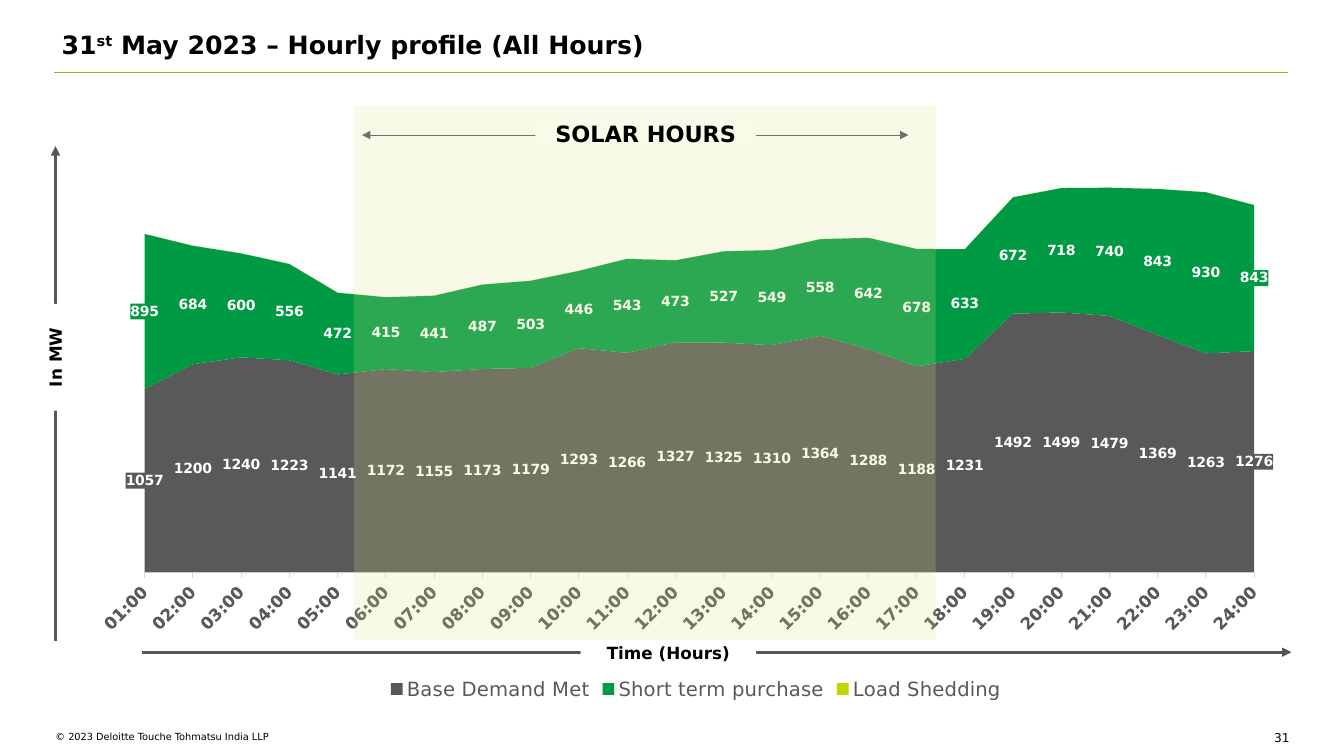
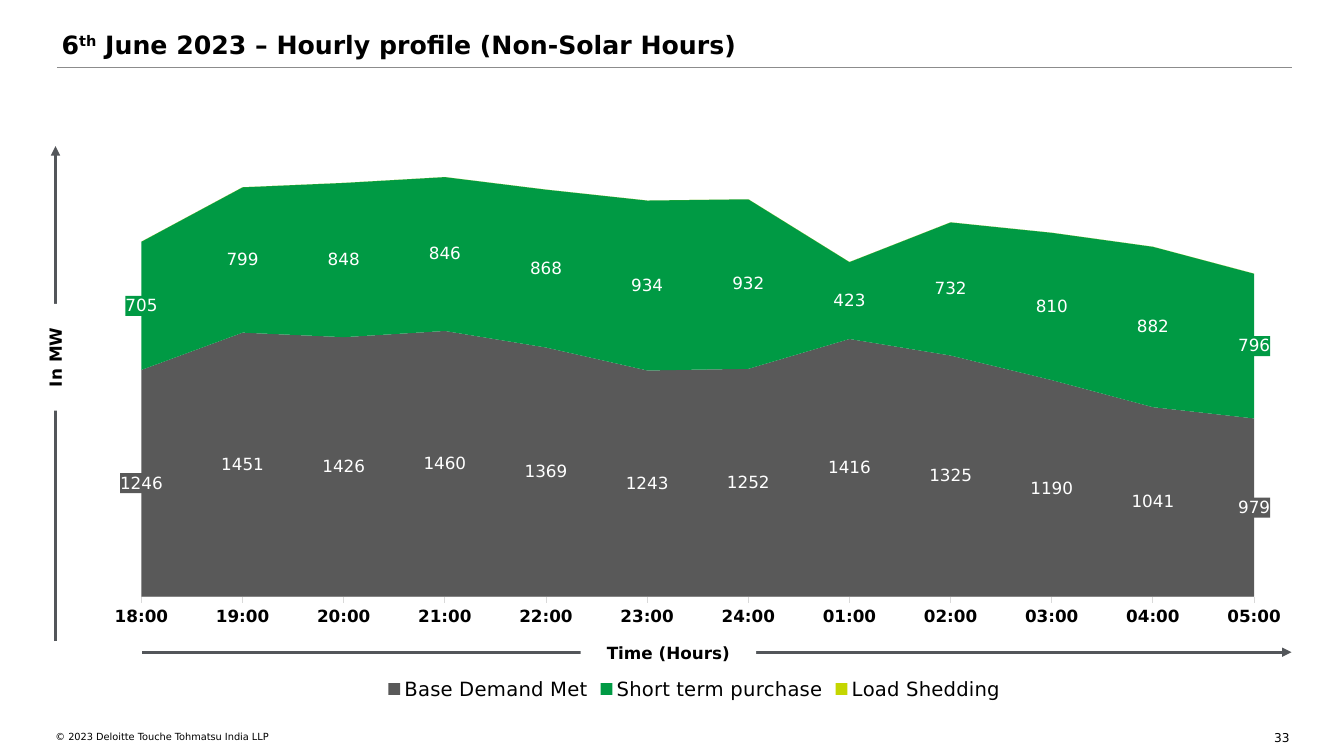
from dataclasses import dataclass

from pptx import Presentation
from pptx.chart.data import CategoryChartData
from pptx.dml.color import RGBColor
from pptx.enum.chart import XL_CHART_TYPE, XL_LEGEND_POSITION, XL_TICK_MARK
from pptx.enum.shapes import MSO_CONNECTOR, MSO_SHAPE
from pptx.enum.text import MSO_ANCHOR, PP_ALIGN
from pptx.oxml import parse_xml
from pptx.oxml.ns import nsdecls, qn
from pptx.oxml.xmlchemy import OxmlElement
from pptx.util import Inches, Pt

FONT = "DejaVu Sans"
COLORS = {
    "black": "000000",
    "white": "FFFFFF",
    "rule": "86BC25",
    "thin_rule": "8C8C8C",
    "arrow": "53565A",
    "axis": "D9D9D9",
    "base": "595959",
    "purchase": "009A44",
    "shedding": "C4D600",
    "solar": "E3E48D",
    "solar_label": "F9FAE8",
}
COPYRIGHT = "© 2023 Deloitte Touche Tohmatsu India LLP"
SERIES = {
    "Base Demand Met": "base",
    "Short term purchase": "purchase",
    "Load Shedding": "shedding",
}


@dataclass(frozen=True)
class Box:
    """A rectangle in EMU, divided into 100 columns and 100 rows."""

    left: int
    top: int
    width: int
    height: int

    def point(self, column, row):
        """Return the position of a grid point."""
        return (int(self.left + self.width * column / 100),
                int(self.top + self.height * row / 100))

    def area(self, column, row, columns, rows):
        """Return a smaller box measured on this box's grid."""
        return Box(*self.point(column, row), int(self.width * columns / 100),
                   int(self.height * rows / 100))

    @property
    def bounds(self):
        """Return left, top, width and height."""
        return self.left, self.top, self.width, self.height


def rgb(name):
    """Return a palette colour."""
    return RGBColor.from_string(COLORS[name])


def set_font(font, size, color="black", bold=False):
    """Apply the common typeface with the given size and colour."""
    font.name, font.size, font.bold = FONT, Pt(size), bold
    font.color.rgb = rgb(color)


def add_panel(slide, box, fill, opacity=100):
    """Add a borderless filled rectangle."""
    panel = slide.shapes.add_shape(MSO_SHAPE.RECTANGLE, *box.bounds)
    panel.shadow.inherit = False
    panel.line.fill.background()
    panel.fill.solid()
    panel.fill.fore_color.rgb = rgb(fill)
    if opacity < 100:
        alpha = OxmlElement("a:alpha")
        alpha.set("val", str(opacity * 1000))
        panel._element.spPr.find(".//" + qn("a:srgbClr")).append(alpha)
    return panel


def add_text(slide, box, *runs, size, bold=False, align=PP_ALIGN.LEFT,
             fill=None, rotation=0):
    """Add a line of runs; a (text, baseline) pair is raised text."""
    holder = (add_panel(slide, box, fill) if fill
              else slide.shapes.add_textbox(*box.bounds))
    holder.rotation = rotation
    frame = holder.text_frame
    frame.word_wrap = True
    frame.vertical_anchor = MSO_ANCHOR.MIDDLE if fill else MSO_ANCHOR.TOP
    inset = Inches(0.1 if fill else 0)
    frame.margin_left = frame.margin_right = inset
    frame.margin_top = frame.margin_bottom = inset
    paragraph = frame.paragraphs[0]
    paragraph.alignment = align
    if fill:
        paragraph.line_spacing = 1.06
    for item in runs:
        words, baseline = (item, 0) if isinstance(item, str) else item
        run = paragraph.add_run()
        run.text = words
        set_font(run.font, size, bold=bold)
        if baseline:
            run.font._element.set("baseline", str(baseline * 1000))


def add_line(slide, start, end, color, width, ends=()):
    """Add a straight line with triangles at the named ends."""
    line = slide.shapes.add_connector(MSO_CONNECTOR.STRAIGHT, *start, *end)
    line.line.color.rgb = rgb(color)
    line.line.width = Pt(width)
    for name in ends:
        arrowhead = OxmlElement(f"a:{name}End")
        arrowhead.set("type", "triangle")
        line.line._get_or_add_ln().append(arrowhead)
    line._element.spPr.append(OxmlElement("a:effectLst"))


def add_header(slide, page, title, rule_start, rule_end, rule_color, rule_width):
    """Place the title and the rule below it."""
    add_text(slide, page.area(4.58, 3.87, 91.6, 5.07), *title, size=18, bold=True)
    add_line(slide, page.point(*rule_start), page.point(*rule_end),
             rule_color, rule_width)


def add_footer(slide, page, number):
    """Place the copyright line and the page number."""
    add_text(slide, page.area(4.13, 96.67, 43.96, 2.93), COPYRIGHT, size=7)
    add_text(slide, page.area(93.4, 96.67, 2.55, 1.47), number, size=8.7,
             align=PP_ALIGN.RIGHT)


def add_axis_arrows(slide, page):
    """Place the labelled time and power arrows."""
    axes = (
        ("Time (Hours)", (10.58, 86.27), (96.1, 86.27), (43.21, 84.53, 13.05, 3.47), 0),
        ("In MW", (4.13, 84.8), (4.13, 19.33), (0.08, 44.53, 7.95, 5.47), 270),
    )
    for caption, start, end, place, rotation in axes:
        add_line(slide, page.point(*start), page.point(*end), "arrow", 2.25, ["tail"])
        add_text(slide, page.area(*place), caption, size=12, bold=True,
                 align=PP_ALIGN.CENTER, fill="white", rotation=rotation)


def set_plot_area(chart, **shares):
    """Fix the inner plot area as shares of the chart."""
    plot_area = chart._chartSpace.chart.plotArea
    for old in plot_area.findall(qn("c:layout")):
        plot_area.remove(old)
    sizes = "".join(f'<c:{key} val="{share}"/>' for key, share in shares.items())
    plot_area.insert(0, parse_xml(
        f'<c:layout {nsdecls("c")}><c:manualLayout><c:layoutTarget val="inner"/>'
        f'<c:xMode val="edge"/><c:yMode val="edge"/>{sizes}'
        '</c:manualLayout></c:layout>'))
    plot_area.find(".//" + qn("c:crossBetween")).set("val", "midCat")


def label_series(series, color, size, bold):
    """Show values on a background of the series colour."""
    labels = series.data_labels
    labels.show_value = True
    labels.number_format = "0"
    labels.number_format_is_linked = False
    set_font(labels.font, size, "white", bold)
    labels._element.find(qn("c:txPr")).addprevious(parse_xml(
        f'<c:spPr {nsdecls("c", "a")}><a:solidFill>'
        f'<a:srgbClr val="{COLORS[color]}"/></a:solidFill></c:spPr>'))


def add_profile_chart(slide, box, hours, base, purchase, *, plot_height,
                      text_color, label_size, label_bold, tilt):
    """Place the stacked hourly demand chart."""
    data = CategoryChartData(number_format="0")
    data.categories = [f"{hour:02d}:00" for hour in hours]
    for name, values in zip(SERIES, (base, purchase, [0] * len(hours))):
        data.add_series(name, values)
    chart = slide.shapes.add_chart(XL_CHART_TYPE.AREA_STACKED, *box.bounds, data).chart
    set_font(chart.font, 10)
    chart.has_title = False
    chart.has_legend = True
    chart.legend.position = XL_LEGEND_POSITION.BOTTOM
    chart.legend.include_in_layout = False
    set_font(chart.legend.font, 14, text_color)

    power = chart.value_axis
    power.minimum_scale, power.maximum_scale = 0, 2500
    power.has_major_gridlines = False
    power.visible = False

    time = chart.category_axis
    time.has_major_gridlines = False
    time.major_tick_mark = XL_TICK_MARK.OUTSIDE
    time.minor_tick_mark = XL_TICK_MARK.NONE
    time.format.line.color.rgb = rgb("axis")
    time.format.line.width = Pt(0.75)
    set_font(time.tick_labels.font, 12, text_color, True)
    turn = time._element.find(qn("c:txPr")).find(qn("a:bodyPr"))
    turn.set("rot", str(tilt * 60000))
    turn.set("vert", "horz")

    plot = chart.plots[0]
    plot.vary_by_categories = False
    for series, color in zip(plot.series, SERIES.values()):
        series.format.fill.solid()
        series.format.fill.fore_color.rgb = rgb(color)
        series.format.line.fill.background()
        if color != "shedding":
            label_series(series, color, label_size, label_bold)
    set_plot_area(chart, x=0.035, y=0.098, w=0.936, h=plot_height)


def add_solar_band(slide, box):
    """Mark the solar hours over the chart."""
    add_line(slide, box.point(1.39, 5.47), box.point(95.32, 5.47), "arrow", 0.75,
             ["head", "tail"])
    add_panel(slide, box, "solar", opacity=20)
    add_text(slide, box.area(31.2, 2.64, 37.95, 4.91), "SOLAR HOURS", size=16,
             bold=True, align=PP_ALIGN.CENTER, fill="solar_label")


def add_profile_slide(deck, page, number, header, chart_box, chart, solar_box=None):
    """Build one hourly profile slide."""
    slide = deck.slides.add_slide(deck.slide_layouts[6])
    add_footer(slide, page, number)
    add_header(slide, page, **header)
    add_axis_arrows(slide, page)
    add_profile_chart(slide, page.area(*chart_box), **chart)
    if solar_box:
        add_solar_band(slide, page.area(*solar_box))


def main():
    """Build and save the deck."""
    deck = Presentation()
    deck.slide_width, deck.slide_height = Inches(13.33), Inches(7.5)
    page = Box(0, 0, deck.slide_width, deck.slide_height)
    add_profile_slide(
        deck, page, "31",
        header=dict(
            title=("31", ("st", 30), " May 2023 – Hourly profile (All Hours)"),
            rule_start=(4.05, 9.6), rule_end=(95.87, 9.6),
            rule_color="rule", rule_width=1),
        chart_box=(7.43, 10.27, 88.45, 82.93),
        chart=dict(
            hours=range(1, 25),
            base=(1057, 1200, 1240, 1223, 1141, 1172, 1155, 1173, 1179, 1293, 1266, 1327,
                  1325, 1310, 1364, 1288, 1188, 1231, 1492, 1499, 1479, 1369, 1263, 1276),
            purchase=(895, 684, 600, 556, 472, 415, 441, 487, 503, 446, 543, 473,
                      527, 549, 558, 642, 678, 633, 672, 718, 740, 843, 930, 843),
            plot_height=0.691, text_color="base", label_size=10, label_bold=True,
            tilt=-45),
        solar_box=(26.33, 14, 43.29, 70.67))
    add_profile_slide(
        deck, page, "33",
        header=dict(
            title=("6", ("th", 30), " June 2023 – Hourly profile (Non-Solar Hours)"),
            rule_start=(4.24, 8.97), rule_end=(96.1, 8.97),
            rule_color="thin_rule", rule_width=0.75),
        chart_box=(7.43, 10.67, 88.45, 82.53),
        chart=dict(
            hours=(*range(18, 25), *range(1, 6)),
            base=(1246, 1451, 1426, 1460, 1369, 1243, 1252, 1416, 1325, 1190, 1041, 979),
            purchase=(705, 799, 848, 846, 868, 934, 932, 423, 732, 810, 882, 796),
            plot_height=0.729, text_color="black", label_size=12, label_bold=False,
            tilt=0))
    deck.save("out.pptx")


if __name__ == "__main__":
    main()
